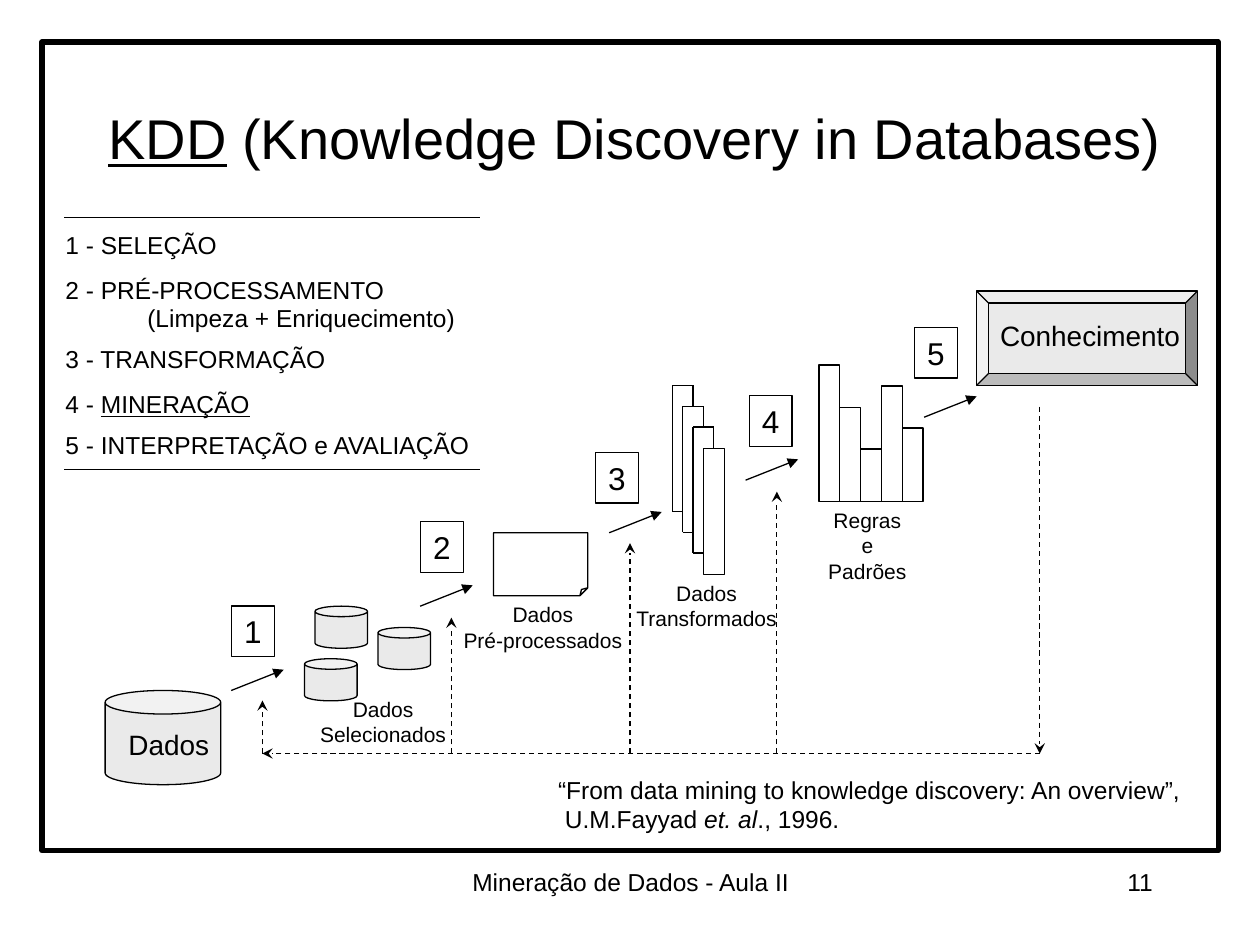
from itertools import pairwise
from pptx import Presentation
from pptx.dml.color import RGBColor
from pptx.enum.dml import MSO_LINE
from pptx.enum.shapes import MSO_CONNECTOR, MSO_SHAPE
from pptx.enum.text import MSO_ANCHOR, PP_ALIGN
from pptx.oxml.ns import qn
from pptx.util import Cm, Pt
from lxml.etree import SubElement

color = RGBColor.from_string
BLACK, GREY = "000000", "EAEAEA"
LEFT, MID, RIGHT = PP_ALIGN.LEFT, PP_ALIGN.CENTER, PP_ALIGN.RIGHT

deck = Presentation()
deck.slide_width, deck.slide_height = Cm(25.4), Cm(19.05)
slide = deck.slides.add_slide(deck.slide_layouts[6])
shapes = slide.shapes


def draw(kind, x, y, w, h, fill=None, width=0.75):
    shape = shapes.add_shape(kind, Cm(x), Cm(y), Cm(w), Cm(h))
    shape.shadow.inherit = False
    if fill:
        shape.fill.solid()
        shape.fill.fore_color.rgb = color(fill)
    else:
        shape.fill.background()
    shape.line.color.rgb = color(BLACK)
    shape.line.width = Pt(width)
    return shape


def link(start, end, head=None, dash=False):
    """Draw a thin line, with an arrowhead of type head at its end."""
    line = shapes.add_connector(MSO_CONNECTOR.STRAIGHT, *map(Cm, start + end))
    line.line.color.rgb = color(BLACK)
    line.line.width = Pt(0.75)
    if dash:
        line.line.dash_style = MSO_LINE.DASH
    if head:
        SubElement(line._element.spPr.find(qn("a:ln")), qn("a:tailEnd"), type=head)
    SubElement(line._element.spPr, qn("a:effectLst"))


# Frame and rules around the list of steps
draw(MSO_SHAPE.RECTANGLE, 0.85, 0.85, 23.71, 16.3, width=3)
for y in (4.39, 9.47):
    link((1.3, y), (9.68, y))

# Data stores, page and knowledge
draw(MSO_SHAPE.CAN, 2.12, 13.92, 2.33, 1.9, GREY)
for x, y in ((6.35, 12.22), (7.62, 12.65), (6.14, 13.28)):
    draw(MSO_SHAPE.CAN, x, y, 1.06, 0.85, GREY)
page = draw(MSO_SHAPE.FOLDED_CORNER, 9.95, 10.74, 1.9, 1.27)
fold = page._element.spPr.find(qn("a:prstGeom")).find(qn("a:avLst"))
SubElement(fold, qn("a:gd"), name="adj", fmla="val 12500")
draw(MSO_SHAPE.BEVEL, 19.69, 5.87, 4.45, 1.9, GREY)

# Stack of cards: only the front one is whole
for i in range(3):
    x, y = 13.55 + 0.21 * i, 7.77 + 0.42 * i
    edge = [(x + 0.42, y + 0.42), (x + 0.42, y), (x, y),
            (x, y + 2.54), (x + 0.21, y + 2.54)]
    for start, end in pairwise(edge):
        link(start, end)
draw(MSO_SHAPE.RECTANGLE, 14.18, 9.04, 0.42, 2.54)

# Bars of the patterns
for i, high in enumerate((2.75, 1.9, 1.06, 2.33, 1.48)):
    draw(MSO_SHAPE.RECTANGLE, 16.51 + 0.42 * i, 10.11 - high, 0.42, high)

# Step arrows and feedback loop
for x, y in ((4.66, 13.92), (8.47, 12.22), (12.28, 10.74),
             (15.03, 9.68), (18.63, 8.41)):
    link((x, y), (x + 1.06, y - 0.42), "triangle")
base = 15.19
link((20.96, 8.2), (20.96, base), "stealth", True)
link((20.96, base), (5.29, base), "stealth", True)
for x, top in ((5.29, 14.12), (9.1, 12.45), (12.7, 10.95), (15.66, 9.91)):
    link((x, base), (x, top), "stealth", True)

# Texts: place, size, alignment, wrap, lines; bars enclose a styled run
texts = [
    ((1.27, 1.45, 23.06, 2.11), 32, MID, True,
     ["|KDD| (Knowledge Discovery in Databases)"]),
    ((2.34, 14.55, 2.13, 0.94), 16, LEFT, False, ["Dados"]),
    ((19.91, 6.3, 4.14, 0.94), 16, LEFT, False, ["Conhecimento"]),
    ((6.2, 13.92, 3.05, 1.27), 12, MID, False, ["Dados", "Selecionados"]),
    ((9.09, 12.01, 3.71, 1.27), 12, MID, False, ["Dados", "Pré-processados"]),
    ((12.57, 11.58, 3.35, 1.27), 12, MID, False, ["Dados", "Transformados"]),
    ((16.38, 10.11, 2.21, 1.27), 12, MID, False, ["Regras e", "Padrões"]),
    ((11, 15.49, 13.23, 1.42), 14, LEFT, False,
     ["“From data mining to knowledge discovery: An overview”,",
      "U.M.Fayyad |et. al|., 1996."]),
    ((8.69, 17.35, 8.05, 1.27), 14, MID, True, ["Mineração de Dados - Aula II"]),
    ((18.21, 17.35, 5.28, 1.27), 14, RIGHT, True, ["11"]),
]
spots = ((4.67, 12.22), (8.48, 10.52), (12.01, 9.12), (15.11, 7.98), (18.44, 6.6))
for i, (x, y) in enumerate(spots, 1):
    draw(MSO_SHAPE.RECTANGLE, x, y, 0.86, 1.02)
    texts.append(((x, y, 0.86, 1.02), 18, LEFT, False, [str(i)]))
texts.append(((1.07, 4.52, 10.69, 4.9), 14, LEFT, True,
              ["1 - SELEÇÃO", "2 - PRÉ-PROCESSAMENTO",
               "(Limpeza + Enriquecimento)", "3 - TRANSFORMAÇÃO",
               "4 - |MINERAÇÃO|", "5 - INTERPRETAÇÃO e AVALIAÇÃO"]))
indents = {"(Limpeza + Enriquecimento)": 1.65, "U.M.Fayyad |et. al|., 1996.": 0.14}

for place, size, align, wrap, lines in texts:
    frame = shapes.add_textbox(*map(Cm, place)).text_frame
    frame.word_wrap = wrap
    if size == 32:
        frame.vertical_anchor = MSO_ANCHOR.BOTTOM
    for i, line in enumerate(lines):
        para = frame.add_paragraph() if i else frame.paragraphs[0]
        para.alignment = align
        if line in indents:
            para._p.get_or_add_pPr().set("marL", str(Cm(indents[line])))
        para.font.name, para.font.size = "Arial", Pt(size)
        para.font.color.rgb = color(BLACK)
        for j, part in enumerate(line.split("|")):
            if part:
                run = para.add_run()
                run.text = part
                if j % 2 and part == "et. al":
                    run.font.italic = True
                elif j % 2:
                    run.font.underline = True

# The list of steps is the last frame
steps = frame.paragraphs
for para in steps[1:]:
    para.space_before = Pt(8.8)
steps[2].line_spacing = 0.3
steps[5].line_spacing = 0.9

deck.save("out.pptx")
